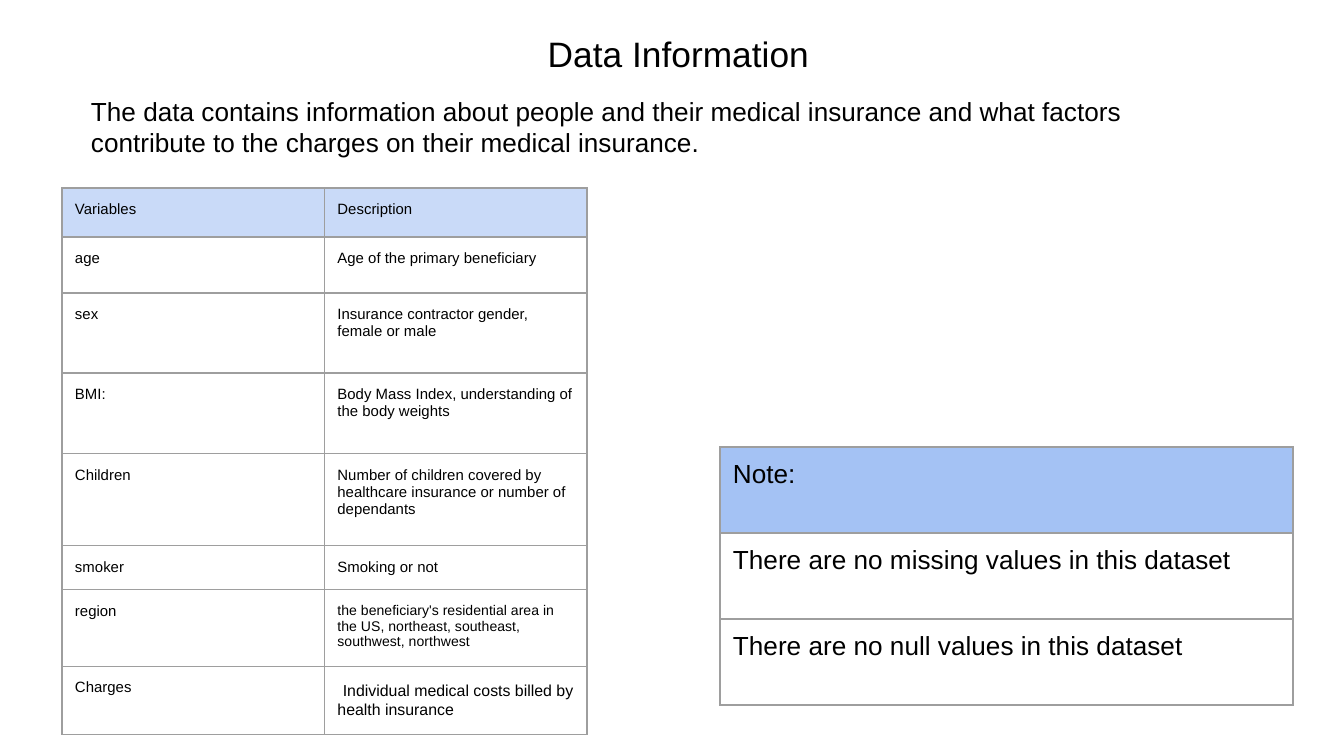
from lxml import etree
from pptx import Presentation
from pptx import util as u
from pptx.dml.color import RGBColor
from pptx.enum import text
from pptx.oxml import ns

PX = 914400 / 134.4
INSET = 13


def px(*lengths):
    return [u.Emu(round(n * PX)) for n in lengths]


def style(paragraph, size, color="000000"):
    paragraph.font.name = "Arial"
    paragraph.font.size = u.Pt(size)
    paragraph.font.color.rgb = RGBColor.from_string(color)


prs = Presentation()
prs.slide_width, prs.slide_height = px(1344, 756)
slide = prs.slides.add_slide(prs.slide_layouts[6])

# Title and introduction
intro = ("The data contains information about people and their medical insurance "
         "and what factors contribute to the charges on their medical insurance.")
for words, box, size, align in [
    ("Data Information", (52, 19, 1253, 58), 18.9, text.PP_ALIGN.CENTER),
    (intro, (78, 82, 1117, 90), 14, text.PP_ALIGN.LEFT),
]:
    frame = slide.shapes.add_textbox(*px(*box)).text_frame
    frame.word_wrap = True
    frame.margin_left, frame.margin_top, frame.margin_right, frame.margin_bottom = px(*[INSET] * 4)
    line = frame.paragraphs[0]
    line.text = words
    line.alignment = align
    style(line, size)

# Content of the two tables
variables = [
    ("Variables", "Description"),
    ("age", "Age of the primary beneficiary"),
    ("sex", "Insurance contractor gender, female or male"),
    ("BMI:", "Body Mass Index, understanding of the body weights"),
    ("Children", "Number of children covered by healthcare insurance or number of dependants"),
    ("smoker", "Smoking or not"),
    ("region", "the beneficiary's residential area in the US, "
               "northeast, southeast, southwest, northwest"),
    ("Charges", " Individual medical costs billed by health insurance"),
]
notes = [
    ("Note:",),
    ("There are no missing values in this dataset",),
    ("There are no null values in this dataset",),
]
variable_heights = [49, 56, 80, 81, 92, 44, 74, 68]
description_sizes = {"region": 7.5, "Charges": 8.5}

# Tables: grey grid, tinted header row
for rows, left, top, column_width, heights, size, header_fill in [
    (variables, 62, 188, 262.5, variable_heights, 8, "C9DAF8"),
    (notes, 720, 447, 573, [86] * 3, 14, "A4C2F4"),
]:
    columns = len(rows[0])
    grid = slide.shapes.add_table(
        len(rows), columns, *px(left, top, column_width * columns, sum(heights))).table
    grid.first_row = grid.horz_banding = False
    for column in grid.columns:
        column.width = px(column_width)[0]
    for r, (row, height) in enumerate(zip(rows, heights)):
        grid.rows[r].height = px(height)[0]
        for c, words in enumerate(row):
            cell = grid.cell(r, c)
            cell.margin_left, cell.margin_top, cell.margin_right, cell.margin_bottom = px(*[INSET] * 4)
            line = cell.text_frame.paragraphs[0]
            if words.startswith(" "):
                line.add_run().text = " "
                line.runs[0].font.size = u.Pt(10.5)
            line.add_run().text = words.strip()
            style(line, description_sizes.get(row[0], size) if c else size)

            # Borders come before the fill in the cell properties
            properties = cell._tc.get_or_add_tcPr()
            for side in ("lnL", "lnR", "lnT", "lnB"):
                border = etree.SubElement(properties, ns.qn(f"a:{side}"), w=str(u.Pt(0.75)))
                paint = etree.SubElement(border, ns.qn("a:solidFill"))
                etree.SubElement(paint, ns.qn("a:srgbClr"), val="9E9E9E")
            if r == 0:
                cell.fill.solid()
                cell.fill.fore_color.rgb = RGBColor.from_string(header_fill)
            else:
                cell.fill.background()

prs.save("out.pptx")
